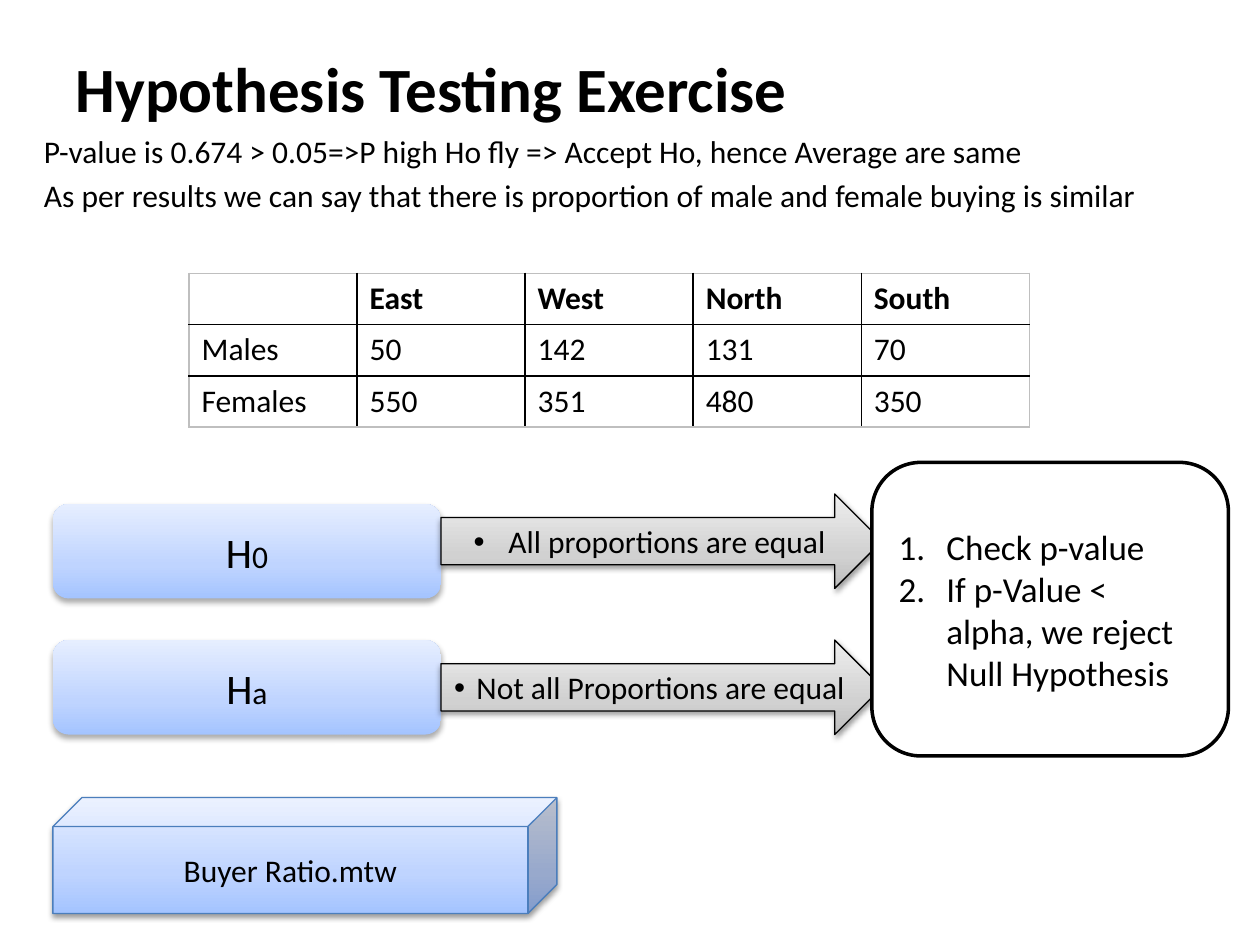
from dataclasses import dataclass

from lxml.etree import SubElement
from pptx import Presentation
from pptx.dml.color import RGBColor
from pptx.enum.shapes import MSO_SHAPE
from pptx.enum.text import MSO_ANCHOR, PP_ALIGN
from pptx.oxml.ns import qn
from pptx.util import Inches, Pt


@dataclass(frozen=True)
class Theme:
    font: str = "Calibri"
    ink: str = "000000"
    paper: str = "FFFFFF"
    table_edge: str = "BFBFBF"
    cube_edge: str = "4B7EBC"
    blue: tuple = ((0, "A4C4FF"), (35, "BFD4FF"), (100, "E6EEFF"))
    gray: tuple = ((0, "BDBDBD"), (35, "D1D1D1"), (100, "EEEEEE"))
    soft_shadow: tuple = (32, 3.5, 2.2)  # opacity %, blur pt, distance pt
    firm_shadow: tuple = (38, 3.1, 1.6)
    title: int = 36
    symbol: int = 24
    decision: int = 20
    body: int = 18


THEME = Theme()


def rgb(value):
    return RGBColor.from_string(value)


def inches(box):
    return [Inches(length) for length in box]


def add_run(paragraph, text, size=THEME.body, bold=False):
    run = paragraph.add_run()
    run.text = text
    run.font.name = THEME.font
    run.font.size = Pt(size)
    run.font.bold = bold
    run.font.color.rgb = rgb(THEME.ink)


def add_marker(paragraph, hang, tag, **attributes):
    """Give a paragraph a bullet or number with a hanging indent."""
    properties = paragraph._p.get_or_add_pPr()
    properties.set("marL", str(Inches(hang)))
    properties.set("indent", str(-Inches(hang)))
    SubElement(properties, qn("a:buFont"), typeface="Arial" if tag == "a:buChar" else "+mj-lt")
    SubElement(properties, qn(tag), **attributes)


def fill_gradient(shape, stops):
    shape.fill.gradient()
    shape.fill.gradient_angle = 90
    stop_list = shape._element.spPr.find(".//" + qn("a:gsLst"))
    for old_stop in list(stop_list):
        stop_list.remove(old_stop)
    for position, color in stops:
        stop = SubElement(stop_list, qn("a:gs"), pos=str(position * 1000))
        SubElement(stop, qn("a:srgbClr"), val=color)


def cast_shadow(shape, opacity, blur, distance):
    effects = shape._element.spPr.find(qn("a:effectLst"))
    shadow = SubElement(effects, qn("a:outerShdw"), blurRad=str(Pt(blur)),
                        dist=str(Pt(distance)), dir="5400000", rotWithShape="0")
    color = SubElement(shadow, qn("a:srgbClr"), val=THEME.ink)
    SubElement(color, qn("a:alpha"), val=str(opacity * 1000))


def add_panel(slide, kind, box, stops=None, edge=None, edge_width=0.75, shadow=None):
    """Add a styled shape and return it with its first paragraph."""
    shape = slide.shapes.add_shape(kind, *inches(box))
    shape.shadow.inherit = False
    if stops:
        fill_gradient(shape, stops)
    else:
        shape.fill.solid()
        shape.fill.fore_color.rgb = rgb(THEME.paper)
    if edge:
        shape.line.color.rgb = rgb(edge)
        shape.line.width = Pt(edge_width)
    else:
        shape.line.fill.background()
    if shadow:
        cast_shadow(shape, *shadow)
    frame = shape.text_frame
    frame.word_wrap = True
    frame.vertical_anchor = MSO_ANCHOR.MIDDLE
    paragraph = frame.paragraphs[0]
    paragraph.alignment = PP_ALIGN.CENTER
    return shape, paragraph


def place_title(slide, box, text):
    title = slide.shapes.title
    title.left, title.top, title.width, title.height = inches(box)
    title.text_frame.vertical_anchor = MSO_ANCHOR.MIDDLE
    paragraph = title.text_frame.paragraphs[0]
    paragraph.alignment = PP_ALIGN.LEFT
    add_run(paragraph, text, THEME.title, bold=True)


def add_findings(slide, box, findings):
    frame = slide.shapes.add_textbox(*inches(box)).text_frame
    frame.word_wrap = True
    for index, finding in enumerate(findings):
        paragraph = frame.add_paragraph() if index else frame.paragraphs[0]
        paragraph.space_before = Pt(3.6)
        add_run(paragraph, finding)


def border_cell(cell, edge_colors):
    properties = cell._tc.get_or_add_tcPr()
    for side, color in edge_colors.items():
        line = SubElement(properties, qn("a:ln" + side), w=str(Pt(1)))
        SubElement(SubElement(line, qn("a:solidFill")), qn("a:srgbClr"), val=color)


def add_buyer_table(slide, box, rows):
    row_count, column_count = len(rows), len(rows[0])
    table = slide.shapes.add_table(row_count, column_count, *inches(box)).table
    for r, row in enumerate(rows):
        for c, value in enumerate(row):
            cell = table.cell(r, c)
            on_edge = {"L": c == 0, "R": c == column_count - 1,
                       "T": r == 0, "B": r == row_count - 1}
            border_cell(cell, {side: THEME.table_edge if outer else THEME.ink
                               for side, outer in on_edge.items()})
            cell.fill.solid()
            cell.fill.fore_color.rgb = rgb(THEME.paper)
            if value:
                add_run(cell.text_frame.paragraphs[0], value, bold=r == 0)


def add_hypothesis(slide, box, subscript):
    _, paragraph = add_panel(slide, MSO_SHAPE.ROUNDED_RECTANGLE, box, THEME.blue,
                             shadow=THEME.soft_shadow)
    add_run(paragraph, "H", THEME.symbol)
    add_run(paragraph, subscript)


def add_claim(slide, box, claim, hang):
    _, paragraph = add_panel(slide, MSO_SHAPE.RIGHT_ARROW, box, THEME.gray,
                             THEME.ink, shadow=THEME.firm_shadow)
    add_marker(paragraph, hang, "a:buChar", char="•")
    add_run(paragraph, claim)


def add_decision(slide, box, steps):
    panel, first = add_panel(slide, MSO_SHAPE.ROUNDED_RECTANGLE, box,
                             edge=THEME.ink, edge_width=2)
    for index, step in enumerate(steps):
        paragraph = panel.text_frame.add_paragraph() if index else first
        paragraph.alignment = PP_ALIGN.LEFT
        add_marker(paragraph, 0.38, "a:buAutoNum", type="arabicPeriod")
        add_run(paragraph, step, THEME.decision)


def add_data_file(slide, box, file_name):
    _, paragraph = add_panel(slide, MSO_SHAPE.CUBE, box, THEME.blue,
                             THEME.cube_edge, shadow=THEME.firm_shadow)
    add_run(paragraph, file_name)


def main():
    deck = Presentation()
    deck.slide_width, deck.slide_height = Inches(10), Inches(7.5)
    slide = deck.slides.add_slide(deck.slide_layouts[5])

    place_title(slide, (0.5, 0.3, 9, 0.78), "Hypothesis Testing Exercise")
    add_findings(slide, (0.25, 1, 9.58, 6.25), (
        "P-value is 0.674 > 0.05=>P high Ho fly => Accept Ho, hence Average are same",
        "As per results we can say that there is proportion of male and female buying is similar",
    ))
    add_buyer_table(slide, (1.5, 2.17, 6.67, 1.22), (
        ("", "East", "West", "North", "South"),
        ("Males", "50", "142", "131", "70"),
        ("Females", "550", "351", "480", "350"),
    ))
    for top, subscript in ((4, "0"), (5.08, "a")):
        add_hypothesis(slide, (0.42, top, 3.08, 0.75), subscript)
    for top, claim, hang in ((3.92, " All proportions are equal", 0.22),
                             (5.08, " Not all Proportions are equal", 0.12)):
        add_claim(slide, (3.5, top, 3.5, 0.75), claim, hang)
    add_decision(slide, (6.92, 3.67, 2.83, 2.33), (
        "Check p-value", "If p-Value < alpha, we reject Null Hypothesis"))
    add_data_file(slide, (0.42, 6.33, 4, 0.92), "Buyer Ratio.mtw")

    deck.save("out.pptx")


if __name__ == "__main__":
    main()
